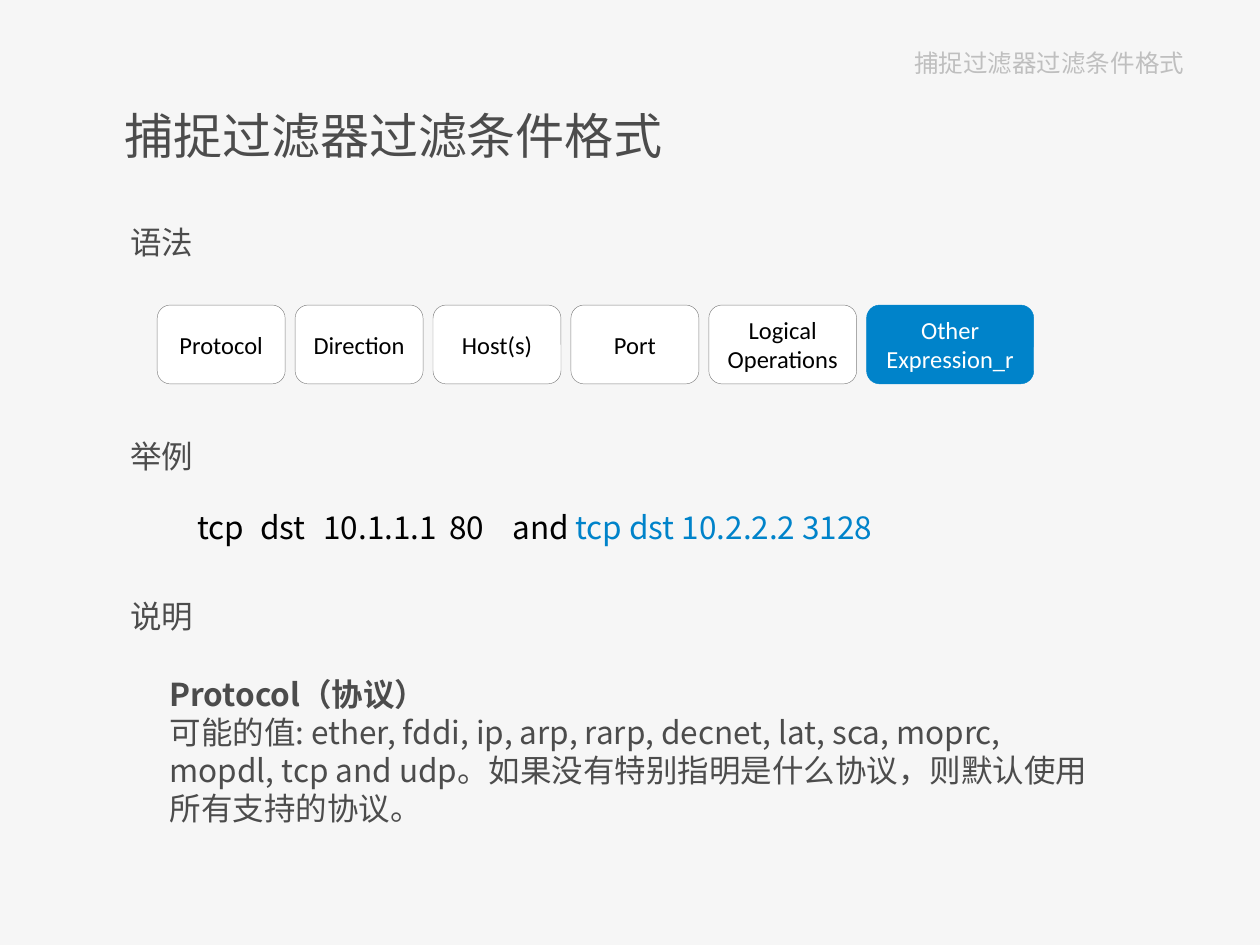
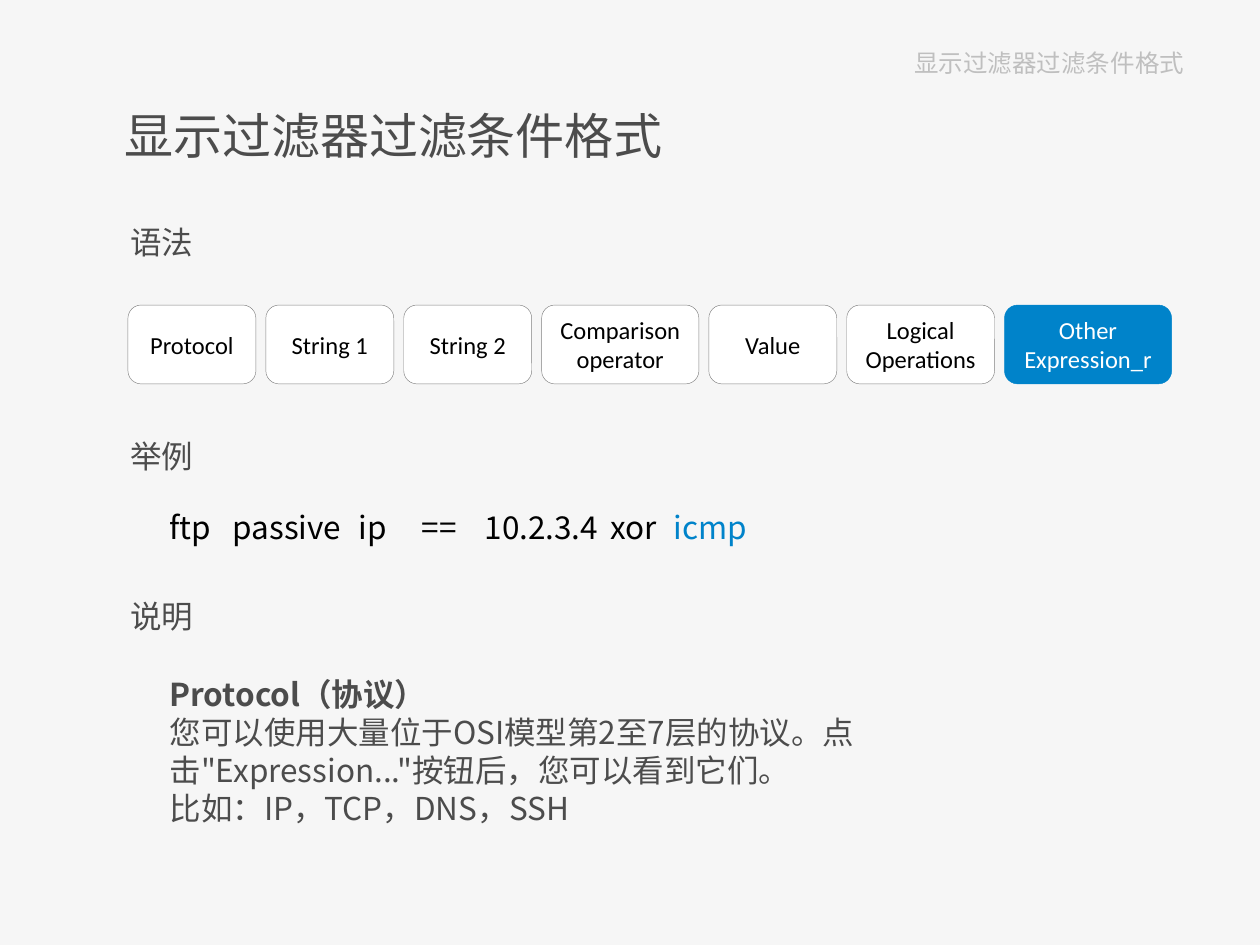
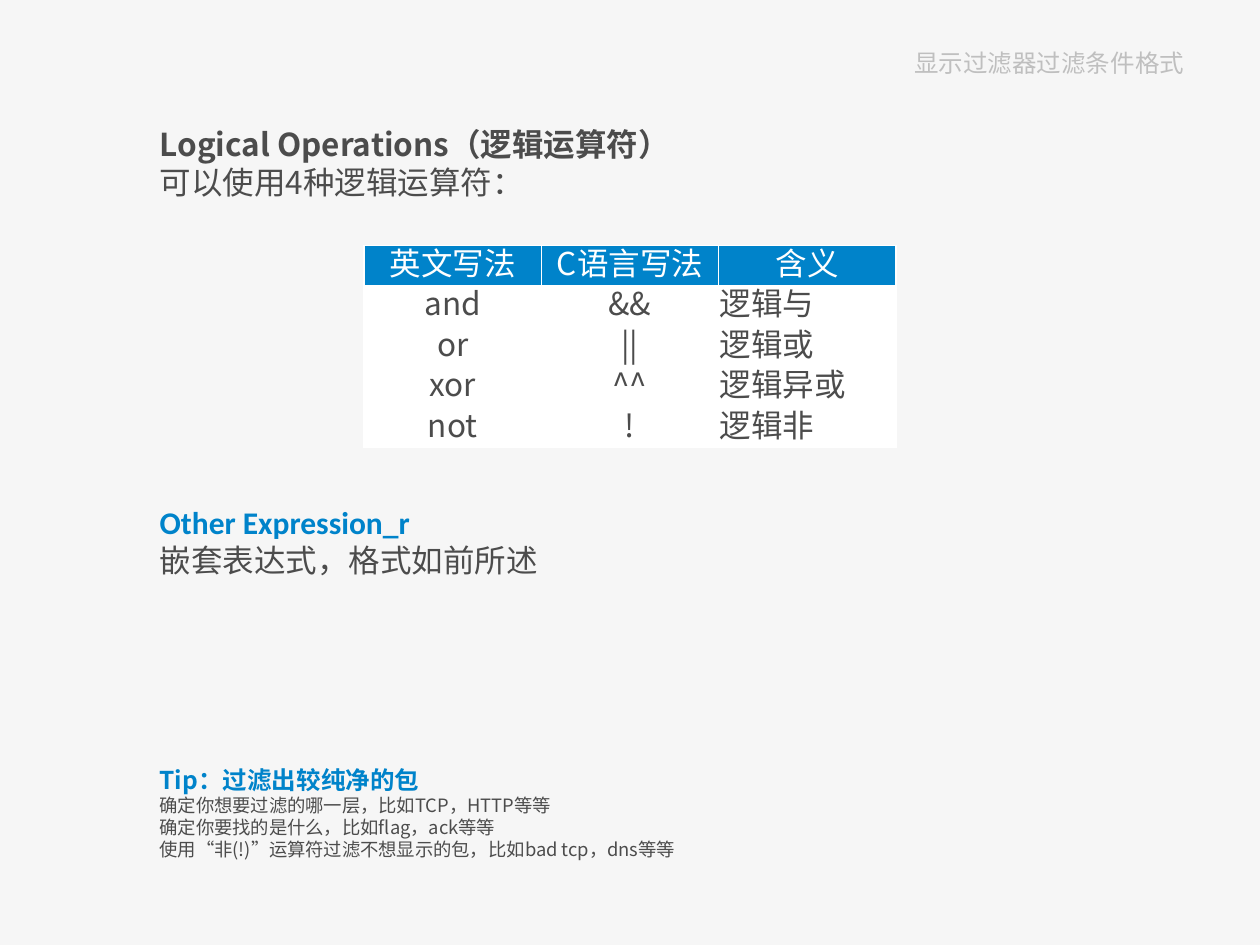
"""Build three slides on capture and display filter syntax."""
from lxml.etree import SubElement
from pptx import Presentation
from pptx.dml.color import RGBColor
from pptx.enum.shapes import MSO_SHAPE
from pptx.enum.text import MSO_ANCHOR, PP_ALIGN
from pptx.oxml.ns import qn
from pptx.util import Cm, Pt

COLORS = {
    "background": "F6F6F6",
    "text": "4C4C4C",
    "header": "BFBFBF",
    "outline": "808080",
    "accent": "0083CA",
    "white": "FFFFFF",
    "black": "000000",
}
CHINESE = "Noto Sans CJK SC"
LATIN = "Calibri"
GAP = 0.2
NARROW, MEDIUM, WIDE, WIDEST = 2.58, 2.98, 3.17, 3.37


def write(frame, text, size=18, color="text", bold=False, font=CHINESE,
          align=PP_ALIGN.LEFT, before=0, ending=""):
    """Add a paragraph, with an optional ending in the accent colour."""
    para = frame.paragraphs[0] if not frame.text else frame.add_paragraph()
    para.alignment = align
    para.space_before = Pt(before)
    para.line_spacing = Pt(size * 1.2)
    for words, shade in ((text, color), (ending, "accent")):
        if words:
            span = para.add_run()
            span.text = words
            span.font.size = Pt(size)
            span.font.bold = bold
            span.font.name = font
            span.font.color.rgb = RGBColor.from_string(COLORS[shade])
            SubElement(span.font._element, qn("a:ea"), typeface=font)
    return para


def add_frame(page, left, top, width, height):
    """Add a wrapping text box and return its text frame."""
    frame = page.shapes.add_textbox(Cm(left), Cm(top), Cm(width), Cm(height)).text_frame
    frame.word_wrap = True
    return frame


deck = Presentation()
deck.slide_width, deck.slide_height = Cm(25.4), Cm(19.05)
background = deck.slide_master.background.fill
background.solid()
background.fore_color.rgb = RGBColor.from_string(COLORS["background"])

pages = []
for header in ("捕捉过滤器过滤条件格式", "显示过滤器过滤条件格式", "显示过滤器过滤条件格式"):
    page = deck.slides.add_slide(deck.slide_layouts[5])
    title = page.shapes.title
    title.left, title.top, title.width, title.height = Cm(1.27), Cm(0.76), Cm(22.86), Cm(1.02)
    title.text_frame.vertical_anchor = MSO_ANCHOR.MIDDLE
    write(title.text_frame, header, size=14, color="header", align=PP_ALIGN.RIGHT)
    pages.append(page)

syntaxes = [
    {
        "left": 3.17,
        "fields": [("Protocol", NARROW), ("Direction", NARROW), ("Host(s)", NARROW),
                   ("Port", NARROW), ("Logical Operations", MEDIUM),
                   ("Other\nExpression_r", WIDEST)],
        "example": ["tcp", "dst", "10.1.1.1", "80", "and", "tcp dst 10.2.2.2 3128"],
        "stops": [0.56, 2.64, 4.43, 7.84, 9.98, 11.95],
        "notes": ["可能的值: ether, fddi, ip, arp, rarp, decnet, lat, sca, moprc, mopdl, "
                  "tcp and udp。如果没有特别指明是什么协议，则默认使用所有支持的协议。"],
    },
    {
        "left": 2.58,
        "fields": [("Protocol", NARROW), ("String 1", NARROW), ("String 2", NARROW),
                   ("Comparison\noperator", WIDE), ("Value", NARROW),
                   ("Logical Operations", MEDIUM), ("Other\nExpression_r", WIDEST)],
        "example": ["ftp", "passive", "ip", "==", "10.2.3.4", "xor", "icmp"],
        "stops": [0, 1.69, 5.02, 6.99, 9.29, 12.56, 14.49],
        "notes": ["您可以使用大量位于OSI模型第2至7层的协议。点击\"Expression...\"按钮后，您可以看到它们。",
                  "比如：IP，TCP，DNS，SSH"],
    },
]

for page, syntax in zip(pages, syntaxes):
    heading = add_frame(page, 2.26, 2, 20.7, 1.98)
    write(heading, page.shapes.title.text_frame.text, size=28)
    for label, top in (("语法", 4.37), ("举例", 8.69), ("说明", 11.91)):
        write(add_frame(page, 2.38, top, 1.98, 1.02), label)

    left = syntax["left"]
    for name, width in syntax["fields"]:
        is_other = name.startswith("Other")
        box = page.shapes.add_shape(MSO_SHAPE.ROUNDED_RECTANGLE,
                                    Cm(left), Cm(6.15), Cm(width), Cm(1.59))
        box.shadow.inherit = False
        box.fill.solid()
        box.fill.fore_color.rgb = RGBColor.from_string(COLORS["accent" if is_other else "white"])
        box.line.color.rgb = RGBColor.from_string(COLORS["accent" if is_other else "outline"])
        box.line.width = Pt(0.25)
        box.text_frame.vertical_anchor = MSO_ANCHOR.MIDDLE
        for line in name.split("\n"):
            write(box.text_frame, line, size=14, font=LATIN, align=PP_ALIGN.CENTER,
                  color="white" if is_other else "black")
        left += width + GAP

    *words, nested = syntax["example"]
    para = write(add_frame(page, 3.17, 10.11, 21.44, 1.02), "\t".join(words) + "\t",
                 color="black", ending=nested)
    first, *stops = syntax["stops"]
    properties = para._p.get_or_add_pPr()
    properties.set("marL", str(Cm(first)))
    properties.set("indent", "0")
    tabs = SubElement(properties, qn("a:tabLst"))
    for stop in stops:
        SubElement(tabs, qn("a:tab"), pos=str(Cm(stop)), algn="l")

    notes = add_frame(page, 3.17, 13.49, 19.46, 3.33)
    write(notes, "Protocol（协议）", bold=True)
    for note in syntax["notes"]:
        write(notes, note)

page = pages[2]
operators = add_frame(page, 2.97, 2.39, 19.46, 9.5)
write(operators, "Logical Operations（逻辑运算符）", bold=True)
write(operators, "可以使用4种逻辑运算符：")
write(operators, "Other Expression_r", color="accent", bold=True, font=LATIN, before=172.8)
write(operators, "嵌套表达式，格式如前所述")

rows = [
    ("英文写法", "C语言写法", "含义"),
    ("and", "&&", "逻辑与"),
    ("or", "||", "逻辑或"),
    ("xor", "^^", "逻辑异或"),
    ("not", "!", "逻辑非"),
]
table = page.shapes.add_table(len(rows), 3, Cm(7.34), Cm(4.95), Cm(10.72), Cm(4.07)).table
for row_index, row in enumerate(rows):
    for column_index, text in enumerate(row):
        cell = table.cell(row_index, column_index)
        cell.margin_left = cell.margin_right = cell.margin_top = cell.margin_bottom = Cm(0.02)
        cell.vertical_anchor = MSO_ANCHOR.MIDDLE
        cell.fill.solid()
        is_header = row_index == 0
        cell.fill.fore_color.rgb = RGBColor.from_string(COLORS["accent" if is_header else "white"])
        is_meaning = column_index == 2 and not is_header
        write(cell.text_frame, text, color="white" if is_header else "text",
              align=PP_ALIGN.JUSTIFY if is_meaning else PP_ALIGN.CENTER)

tip = add_frame(page, 2.97, 15.29, 19.46, 2.21)
write(tip, "Tip：过滤出较纯净的包", size=14, color="accent", bold=True)
for advice in ("确定你想要过滤的哪一层，比如TCP，HTTP等等",
               "确定你要找的是什么，比如flag，ack等等",
               "使用“非(!)”运算符过滤不想显示的包，比如bad tcp，dns等等"):
    write(tip, advice, size=10.5)

deck.save("out.pptx")
